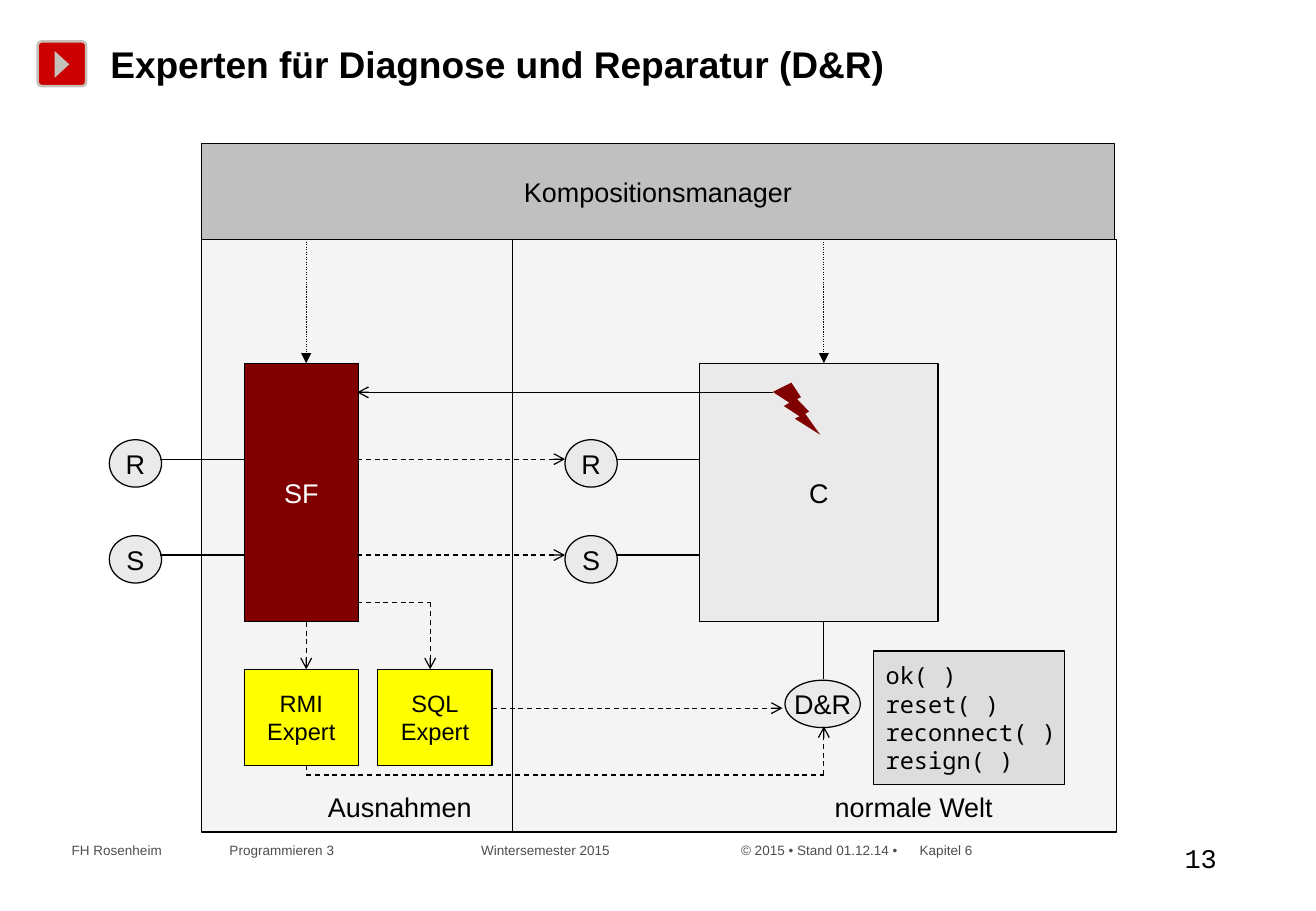
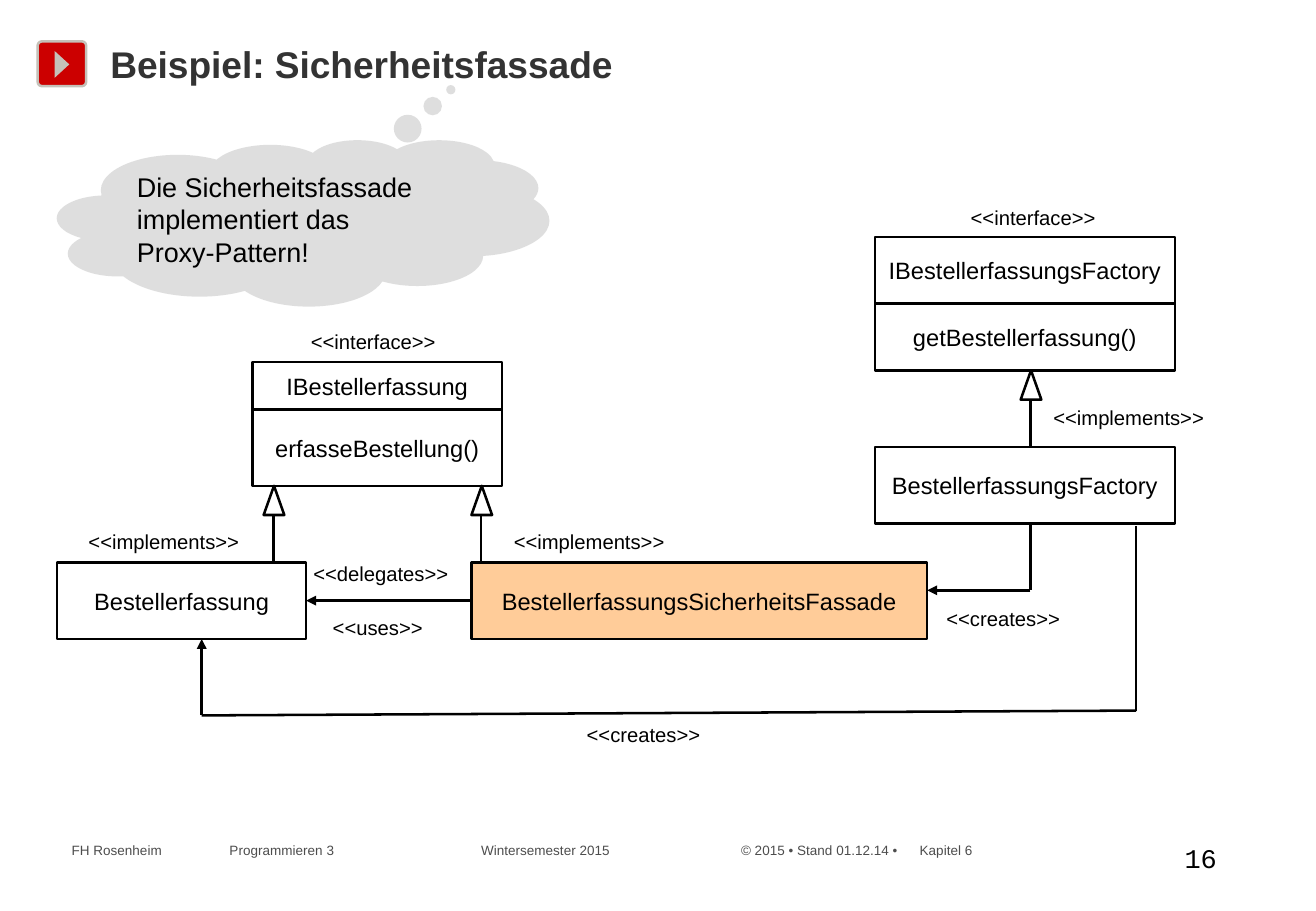
from dataclasses import dataclass

from lxml import etree
from pptx import Presentation
from pptx.dml.color import RGBColor
from pptx.enum.dml import MSO_LINE
from pptx.enum.shapes import MSO_CONNECTOR, MSO_SHAPE
from pptx.enum.text import MSO_ANCHOR, MSO_AUTO_SIZE, PP_ALIGN
from pptx.oxml.ns import qn
from pptx.util import Pt

PX = 9144
RECT, OVAL = MSO_SHAPE.RECTANGLE, MSO_SHAPE.OVAL
ROUNDED, BOLT = MSO_SHAPE.ROUNDED_RECTANGLE, MSO_SHAPE.LIGHTNING_BOLT
CLOUD, TRIANGLE = MSO_SHAPE.CLOUD_CALLOUT, MSO_SHAPE.ISOSCELES_TRIANGLE
STRAIGHT = MSO_CONNECTOR.STRAIGHT
DASH, DOT = MSO_LINE.DASH, MSO_LINE.ROUND_DOT
LEFT, CENTER = PP_ALIGN.LEFT, PP_ALIGN.CENTER
TOP, MIDDLE = MSO_ANCHOR.TOP, MSO_ANCHOR.MIDDLE
GROW = MSO_AUTO_SIZE.SHAPE_TO_FIT_TEXT
SITE_LEFT, SITE_RIGHT = 1, 3


@dataclass(frozen=True)
class Theme:
    ink: str = "000000"
    white: str = "FFFFFF"
    heading: str = "333333"
    footer: str = "4D4D4D"
    red: str = "CC0000"
    stone: str = "C5C1B9"
    maroon: str = "800000"
    pale: str = "EAEAEA"
    silver: str = "C0C0C0"
    code: str = "DDDDDD"
    cloud: str = "BFBFBF"
    yellow: str = "FFFF00"
    peach: str = "FFCC99"
    sans: str = "Arial"
    page: str = "Courier New"
    mono: str = "Noto Sans Mono"
    title: int = 22
    large: int = 16
    medium: int = 14
    small: int = 12
    tiny: int = 8
    thin: float = 0.75
    thick: float = 1.5


THEME = Theme()
FOOTER = "\t".join(["FH Rosenheim", "Programmieren 3", "Wintersemester 2015",
                    "© 2015 • Stand 01.12.14 •", "Kapitel 6"])
FOOTER_TABS = (130, 337, 551, 698)


def px(*lengths):
    return [round(length * PX) for length in lengths]


class Deck:
    def __init__(self):
        self.prs = Presentation()
        self.prs.slide_width, self.prs.slide_height = px(1083, 750)
        self.shapes = None
        self.weight = THEME.thin

    def new_slide(self, title, number, weight, color=THEME.ink):
        slide = self.prs.slides.add_slide(self.prs.slide_layouts[6])
        self.shapes = slide.shapes
        self.weight = THEME.thick
        badge = self.shape(ROUNDED, (31, 34, 40, 37), THEME.red, THEME.stone)
        badge.adjustments[0] = 0.1
        outline = self.shapes.build_freeform(57, 53, scale=PX)
        outline.add_line_segments([(45, 42), (45, 64)])
        self.paint(outline.convert_to_shape(), THEME.stone, None)
        self.weight = weight
        self.label(number, (965, 688, 94, 41), font=THEME.page)
        footer = self.label(FOOTER, (49, 688, 1009, 24), THEME.tiny, THEME.footer)
        tabs = etree.SubElement(
            footer.text_frame.paragraphs[0]._p.get_or_add_pPr(), qn("a:tabLst"))
        for position in FOOTER_TABS:
            etree.SubElement(tabs, qn("a:tab"), pos=str(position * PX), algn="l")
        heading = self.label(title, (81, 29, 923, 47), THEME.title, color, bold=True)
        heading.text_frame.vertical_anchor = MIDDLE
        heading.text_frame.word_wrap = True

    def paint(self, shape, fill, line, alpha=None):
        shape.shadow.inherit = False
        if fill:
            shape.fill.solid()
            shape.fill.fore_color.rgb = RGBColor.from_string(fill)
        else:
            shape.fill.background()
        if alpha:
            color = shape.element.spPr.find(qn("a:solidFill"))[0]
            etree.SubElement(color, qn("a:alpha"), val=str(alpha * 1000))
        if line:
            shape.line.color.rgb = RGBColor.from_string(line)
            shape.line.width = Pt(self.weight)
        else:
            shape.line.fill.background()

    def set_text(self, frame, text, size, color, font, align, bold=False):
        frame.word_wrap = False
        for index, wording in enumerate(text.split("\n")):
            paragraph = frame.add_paragraph() if index else frame.paragraphs[0]
            paragraph.alignment = align
            for row, line in enumerate(wording.split("\v")):
                if row:
                    paragraph.add_line_break()
                run = paragraph.add_run()
                run.text = line
                run.font.size = Pt(size)
                run.font.name = font
                run.font.bold = bold
                run.font.color.rgb = RGBColor.from_string(color)

    def shape(self, kind, at, fill=None, line=THEME.ink, text=None, size=THEME.large,
              color=THEME.ink, font=THEME.sans, align=CENTER, alpha=None, inset=True):
        shape = self.shapes.add_shape(kind, *px(*at))
        self.paint(shape, fill, line, alpha)
        if text:
            frame = shape.text_frame
            frame.vertical_anchor = MIDDLE
            if not inset:
                frame.margin_left = frame.margin_right = 0
                frame.margin_top = frame.margin_bottom = 0
            self.set_text(frame, text, size, color, font, align)
        return shape

    def label(self, text, at, size=THEME.large, color=THEME.ink, font=THEME.sans,
              bold=False):
        box = self.shapes.add_textbox(*px(*at))
        self.set_text(box.text_frame, text, size, color, font, LEFT, bold)
        box.text_frame.vertical_anchor = TOP
        box.text_frame.auto_size = GROW
        return box

    def route(self, *points, dash=None, tail=None):
        for index, (start, end) in enumerate(zip(points, points[1:]), 2):
            connector = self.shapes.add_connector(STRAIGHT, *px(*start, *end))
            connector.line.color.rgb = RGBColor.from_string(THEME.ink)
            connector.line.width = Pt(self.weight)
            if dash:
                connector.line.dash_style = dash
            properties = connector.element.spPr
            if tail and index == len(points):
                etree.SubElement(properties.find(qn("a:ln")), qn("a:tailEnd"), type=tail)
            etree.SubElement(properties, qn("a:effectLst"))
        return connector

    def link(self, source, target):
        connector = self.route((0, 0), (1, 1), tail="triangle")
        connector.begin_connect(source, SITE_LEFT)
        connector.end_connect(target, SITE_RIGHT)

    def class_box(self, name, at, fill=None):
        return self.shape(RECT, at, fill, text=name, size=THEME.medium)

    def stereotype(self, word, x, y, width):
        self.label(f"<<{word}>>", (x, y, width, 30), THEME.small)

    def realization(self, x, top):
        self.shape(TRIANGLE, (x - 8, top, 17, 24))
        self.route((x, top + 24), (x, top + 63))


def diagnosis_slide(deck):
    deck.new_slide("Experten für Diagnose und Reparatur (D&R)", "13", THEME.thin)
    deck.shape(RECT, (166, 197, 753, 488), THEME.pale, alpha=50)
    deck.shape(RECT, (166, 118, 751, 79), THEME.silver, text="Kompositionsmanager")
    deck.shape(RECT, (201, 299, 94, 213), THEME.maroon, text="SF", color=THEME.white)
    deck.shape(RECT, (576, 299, 196, 213), THEME.pale, text="C")
    for port, y in (("R", 362), ("S", 441)):
        for x, side in ((90, 201), (465, 576)):
            deck.shape(OVAL, (x, y, 43, 39), THEME.pale, text=port)
            deck.route((x + 42, y + 16), (side, y + 16))
        deck.route((294, y + 16), (465, y + 16), dash=DASH, tail="arrow")
    for x in (252, 678):
        deck.route((x, 197), (x, 299), dash=DOT, tail="triangle")
    deck.route((678, 512), (678, 559))
    deck.shape(OVAL, (646, 560, 62, 39), THEME.pale, text="D&R")
    for expert, x in (("RMI", 201), ("SQL", 311)):
        deck.shape(RECT, (x, 551, 94, 79), THEME.yellow, text=f"{expert}\vExpert",
                   size=THEME.medium, inset=False)
    for points in (((252, 512), (252, 551)),
                   ((294, 496), (354, 496), (354, 551)),
                   ((405, 583), (644, 583)),
                   ((252, 630), (252, 638), (678, 638), (678, 598))):
        deck.route(*points, dash=DASH, tail="arrow")
    deck.label("Ausnahmen", (260, 646, 139, 37))
    deck.label("normale Welt", (677, 646, 151, 37))
    deck.route((422, 197), (422, 685))
    deck.shape(BOLT, (636, 315, 39, 43), THEME.maroon, None)
    deck.route((636, 323), (294, 323), tail="arrow")
    deck.shape(RECT, (719, 536, 157, 110), THEME.code, size=THEME.medium,
               text="ok( )\nreset( )\nreconnect( )\nresign( )",
               font=THEME.mono, align=LEFT)


def facade_slide(deck):
    deck.new_slide("Beispiel: Sicherheitsfassade", "16", THEME.thick, THEME.heading)
    deck.class_box("IBestellerfassungsFactory", (720, 195, 247, 55))
    deck.class_box("getBestellerfassung()", (720, 250, 247, 55))
    deck.class_box("BestellerfassungsFactory", (720, 368, 247, 63))
    deck.class_box("IBestellerfassung", (208, 298, 205, 39))
    deck.class_box("erfasseBestellung()", (208, 337, 205, 63))
    order_entry = deck.class_box("Bestellerfassung", (47, 463, 205, 63))
    facade = deck.class_box("BestellerfassungsSicherheitsFassade",
                            (388, 463, 375, 63), THEME.peach)
    for x, top in ((225, 400), (396, 400), (848, 305)):
        deck.realization(x, top)
    deck.link(facade, order_entry)
    deck.route((848, 431), (848, 486), (763, 486), tail="triangle")
    deck.route((935, 433), (935, 585), (166, 589), (166, 526), tail="triangle")
    for word, width, places in (
            ("interface", 123, ((246, 266), (789, 164))),
            ("implements", 144, ((63, 431), (413, 431), (857, 329))),
            ("creates", 114, ((473, 590), (769, 494))),
            ("delegates", 131, ((248, 457),)),
            ("uses", 94, ((264, 502),))):
        for x, y in places:
            deck.stereotype(word, x, y, width)
    thought = deck.shape(
        CLOUD, (47, 115, 405, 137), THEME.cloud, None, align=LEFT, alpha=50,
        text="Die Sicherheitsfassade\nimplementiert das\nProxy-Pattern!")
    thought.adjustments[0], thought.adjustments[1] = 0.3, -0.8


def main():
    deck = Deck()
    diagnosis_slide(deck)
    facade_slide(deck)
    deck.prs.save("out.pptx")


if __name__ == "__main__":
    main()
